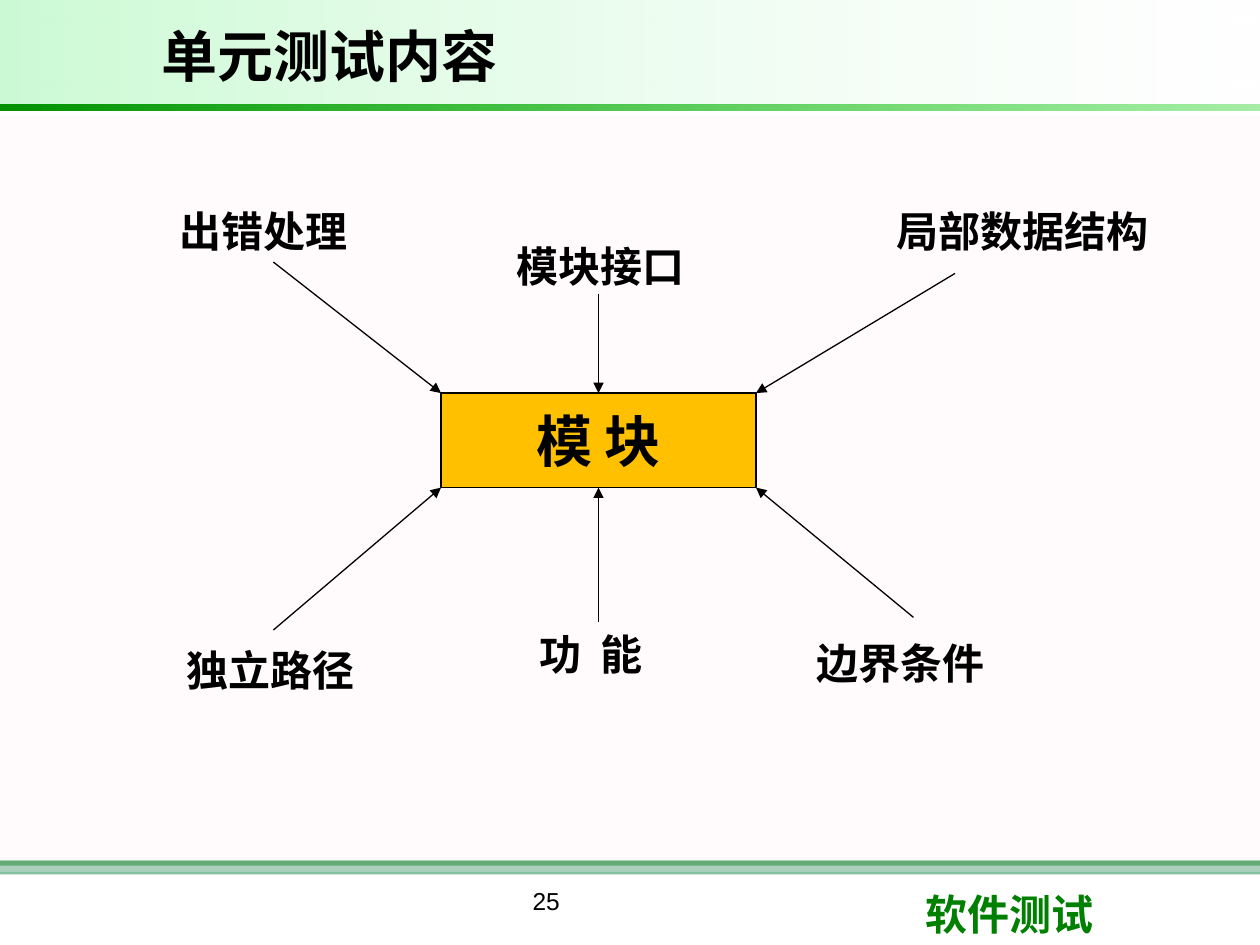
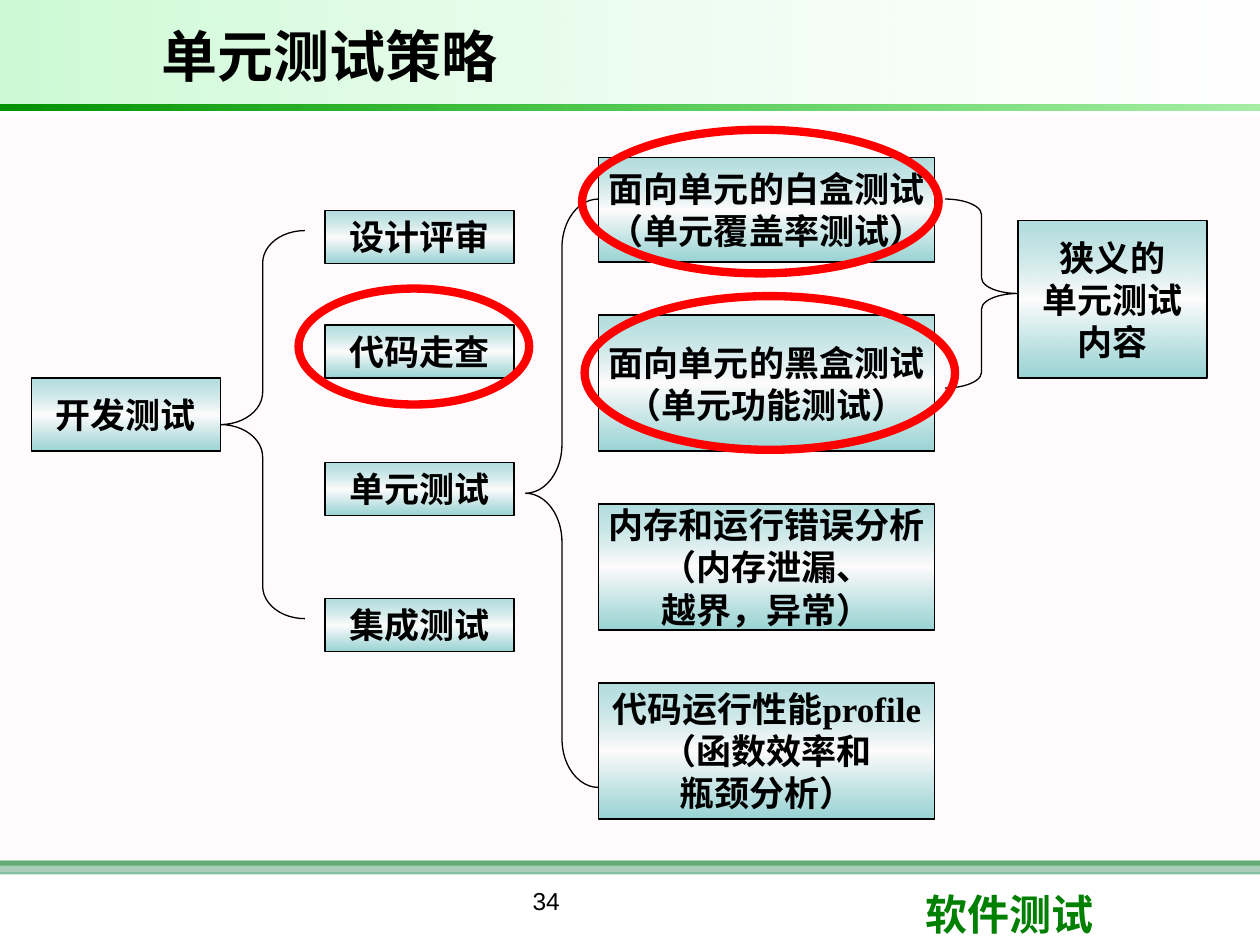
from lxml import etree
from pptx import Presentation
from pptx.dml.color import RGBColor
from pptx.enum import shapes, text
from pptx.oxml.ns import qn
from pptx.util import Inches, Pt

BLACK = RGBColor(0, 0, 0)
WHITE = RGBColor(255, 255, 255)
RED = RGBColor(255, 0, 0)
AMBER = RGBColor(0xFF, 0xC0, 0)
GREEN = RGBColor(0, 0x80, 0)
SEA = RGBColor(0x33, 0x99, 0x66)
BLUSH = RGBColor(0xFF, 0xF0, 0xF5)
MINT = RGBColor(0x09, 0xE7, 0x33)
DEEP = RGBColor(0, 0x92, 0)
LIME = RGBColor(0, 0xCC, 0)
TEAL = RGBColor(0, 0x99, 0x99)

KIND = shapes.MSO_SHAPE
MID = text.MSO_ANCHOR.MIDDLE
TOP = text.MSO_ANCHOR.TOP
LEFT = text.PP_ALIGN.LEFT
MAIN = text.PP_ALIGN.CENTER
SHEEN = [(0, TEAL, 30), (50, WHITE, 43), (100, TEAL, 40)]


def write(frame, words, size=24, font="Arial", color=BLACK, bold=True,
          align=LEFT, anchor=TOP, wrap=True):
    frame.word_wrap = wrap
    frame.vertical_anchor = anchor
    for i, line in enumerate(words.split("\n")):
        para = frame.paragraphs[0] if i == 0 else frame.add_paragraph()
        para.alignment = align
        run = para.add_run()
        run.text = line
        run.font.size = Pt(size)
        run.font.name = font
        run.font.bold = bold
        run.font.color.rgb = color


class Deck:
    def __init__(self):
        self.show = Presentation()
        self.show.slide_width = Inches(10)
        self.show.slide_height = Inches(7.5)
        self.slide = None

    def page(self, title, number):
        self.slide = self.show.slides.add_slide(self.show.slide_layouts[6])
        self.shape((0, 6.83, 10, 0.04), fill=GREEN)
        self.shape((0, 6.83, 10, 0.11), fill=SEA, alpha=60)
        self.shape((0, 0.92, 10, 6), fill=BLUSH, alpha=30)
        self.label((7.25, 7, 2.37, 0.5), "软件测试", font="Roboto", color=GREEN)
        self.blend(self.shape((0, 0, 10, 0.83)), [(0, MINT, 21), (100, WHITE, 10)])
        self.blend(self.shape((0, 0.83, 10, 0.05)), [(0, DEEP, 100), (100, LIME, 35)])
        self.label((1.18, 0.08, 6.97, 0.71), title, size=32, anchor=MID)
        self.label((2.75, 6.98, 3.17, 0.52), number, size=14, bold=False, align=MAIN)

    def shape(self, area, kind=KIND.RECTANGLE, fill=None, alpha=100,
              line=None, width=0.75, adjust=None):
        item = self.slide.shapes.add_shape(kind, *map(Inches, area))
        item.shadow.inherit = False
        if fill is None:
            item.fill.background()
        else:
            item.fill.solid()
            item.fill.fore_color.rgb = fill
            tint = item.fill._xPr.find(".//" + qn("a:srgbClr"))
            etree.SubElement(tint, qn("a:alpha"), val=str(alpha * 1000))
        if line is None:
            item.line.fill.background()
        else:
            item.line.color.rgb = line
            item.line.width = Pt(width)
        if adjust is not None:
            item.adjustments[0] = adjust
        return item

    def blend(self, item, stops, angle=0):
        old = item._element.spPr.find(qn("a:noFill"))
        grad = etree.Element(qn("a:gradFill"), rotWithShape="1")
        row = etree.SubElement(grad, qn("a:gsLst"))
        for place, color, alpha in stops:
            stop = etree.SubElement(row, qn("a:gs"), pos=str(place * 1000))
            tint = etree.SubElement(stop, qn("a:srgbClr"), val=str(color))
            etree.SubElement(tint, qn("a:alpha"), val=str(alpha * 1000))
        etree.SubElement(grad, qn("a:lin"), ang=str(angle * 60000), scaled="0")
        old.getparent().replace(old, grad)

    def label(self, area, words, **style):
        box = self.slide.shapes.add_textbox(*map(Inches, area))
        write(box.text_frame, words, **style)

    def node(self, area, words):
        item = self.shape(area, line=BLACK)
        self.blend(item, SHEEN, 90)
        write(item.text_frame, words, size=20, font="Times New Roman",
              align=MAIN, anchor=MID, wrap=False)

    def brace(self, area, curve, kind=KIND.LEFT_BRACE):
        self.shape(area, kind, line=BLACK, adjust=curve)

    def ring(self, area):
        self.shape(area, KIND.OVAL, line=RED, width=4.75)

    def arrow(self, start, end):
        ends = map(Inches, (*start, *end))
        item = self.slide.shapes.add_connector(shapes.MSO_CONNECTOR.STRAIGHT, *ends)
        item.line.color.rgb = BLACK
        item.line.width = Pt(0.75)
        etree.SubElement(item.line._get_or_add_ln(), qn("a:tailEnd"), type="triangle")
        etree.SubElement(item._element.spPr, qn("a:effectLst"))


def content(deck):
    deck.page("单元测试内容", "25")
    left, top, wide, high = area = 3.5, 3.12, 2.5, 0.75
    core = deck.shape(area, fill=AMBER, line=BLACK)
    write(core.text_frame, "模 块", size=32, align=MAIN, anchor=MID)
    mid, right, base = left + wide / 2, left + wide, top + high
    topics = [
        ("出错处理", (1.33, 1.58), (2.17, 2.08), (left, top)),
        ("模块接口", (4, 1.86), (mid, 2.33), (mid, top)),
        ("局部数据结构", (7.02, 1.58), (7.58, 2.17), (right, top)),
        ("独立路径", (1.38, 5.07), (2.17, 5), (left, base)),
        ("功  能", (4.18, 4.94), (mid, 4.94), (mid, base)),
        ("边界条件", (6.38, 5.01), (7.25, 4.9), (right, base)),
    ]
    for words, place, start, end in topics:
        deck.arrow(start, end)
        deck.label((*place, 2.25, 0.5), words)


def plan(deck):
    deck.page("单元测试策略", "34")
    deck.node((0.25, 3, 1.5, 0.58), "开发测试")
    steps = [(1.67, "设计评审"), (2.58, "代码走查"), (3.67, "单元测试"), (4.75, "集成测试")]
    for top, words in steps:
        deck.node((2.58, top, 1.5, 0.42), words)
    tests = [
        (1.25, 0.83, "面向单元的白盒测试\n（单元覆盖率测试）"),
        (2.5, 1.08, "面向单元的黑盒测试\n（单元功能测试）"),
        (4, 1, "内存和运行错误分析\n（内存泄漏、\n越界，异常）"),
        (5.42, 1.08, "代码运行性能profile\n（函数效率和\n瓶颈分析）"),
    ]
    for top, high, words in tests:
        deck.node((4.75, top, 2.67, high), words)
    deck.node((8.08, 1.75, 1.5, 1.25), "狭义的\n单元测试\n内容")
    deck.brace((1.75, 1.83, 0.67, 3.08), 0.385)
    deck.brace((7.5, 1.58, 0.58, 1.5), 0.214, KIND.RIGHT_BRACE)
    deck.brace((4.17, 1.58, 0.58, 4.67), 0.667)
    for area in ((2.37, 2.29, 1.83, 0.92), (4.62, 1.03, 2.83, 1.14), (4.64, 2.35, 2.94, 1.22)):
        deck.ring(area)


def main():
    deck = Deck()
    content(deck)
    plan(deck)
    deck.show.save("out.pptx")


if __name__ == "__main__":
    main()
